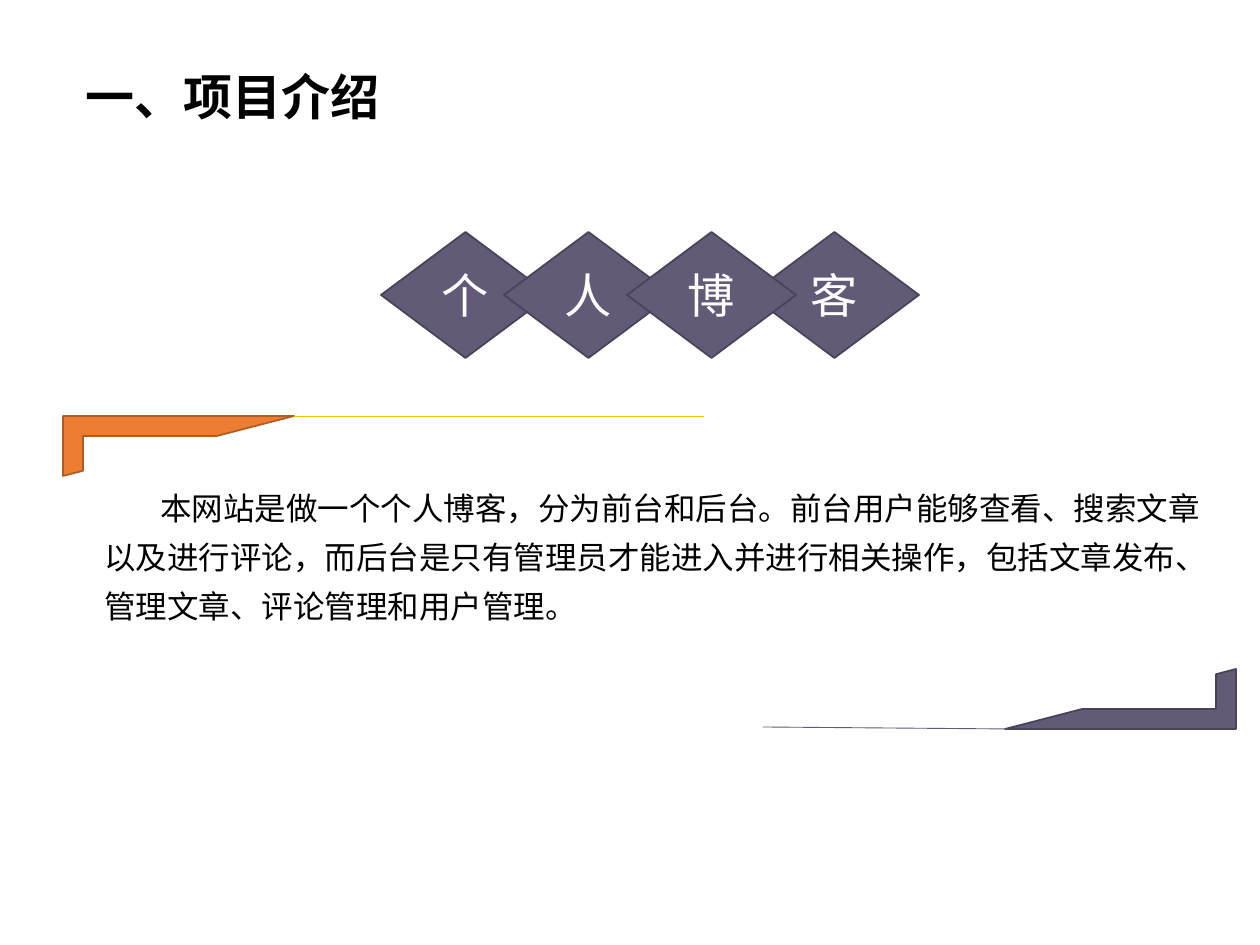
from lxml.etree import SubElement
from pptx import Presentation
from pptx.dml.color import RGBColor
from pptx.enum.shapes import MSO_CONNECTOR, MSO_SHAPE
from pptx.enum.text import MSO_ANCHOR, PP_ALIGN
from pptx.oxml.ns import qn
from pptx.util import Pt

SCALE = 914400 / 126
FONT = "Arial"
COLORS = {
    "black": "000000",
    "white": "FFFFFF",
    "violet": "625A76",
    "plum": "494357",
    "orange": "ED7D31",
    "rust": "AF5C24",
    "gold": "FFC000",
}
INTRO = (
    "本网站是做一个个人博客，分为前台和后台。前台用户能够查看、搜索文章"
    "以及进行评论，而后台是只有管理员才能进入并进行相关操作，包括文章发布、"
    "管理文章、评论管理和用户管理。"
)


def emu(px):
    return round(px * SCALE)


def color(name):
    return RGBColor.from_string(COLORS[name])


def write(shape, text, size, ink="black", bold=False, align=PP_ALIGN.LEFT,
          anchor=MSO_ANCHOR.TOP, spacing=1.0, indent=0):
    frame = shape.text_frame
    frame.word_wrap = True
    frame.vertical_anchor = anchor
    para = frame.paragraphs[0]
    para.text = text
    para.alignment = align
    para.line_spacing = spacing
    para.space_before = Pt(0)
    if indent:
        para._p.get_or_add_pPr().set("indent", str(emu(indent)))
    font = para.runs[0].font
    font.name = FONT
    font.size = Pt(size)
    font.bold = bold
    font.color.rgb = color(ink)


def add_form(slide, kind, box, fill, edge, turn=0):
    shape = slide.shapes.add_shape(kind, *map(emu, box))
    shape.shadow.inherit = False
    shape.rotation = turn
    shape.fill.solid()
    shape.fill.fore_color.rgb = color(fill)
    shape.line.color.rgb = color(edge)
    shape.line.width = Pt(1)
    return shape


def add_rule(slide, ends, ink):
    rule = slide.shapes.add_connector(MSO_CONNECTOR.STRAIGHT, *map(emu, ends))
    rule.line.color.rgb = color(ink)
    rule.line.width = Pt(0.5)
    SubElement(rule._element.spPr, qn("a:effectLst"))


def add_gems(slide):
    """Draw the overlapping diamonds; the third lies over the fourth."""
    left, step = 381, 123
    for spot, char in ((0, "个"), (1, "人"), (3, "客"), (2, "博")):
        box = (left + spot * step, 232, 169, 126)
        gem = add_form(slide, MSO_SHAPE.FLOWCHART_DECISION, box, "violet", "plum")
        write(gem, char, 27, ink="white", align=PP_ALIGN.CENTER,
              anchor=MSO_ANCHOR.MIDDLE)


def add_title(slide, text):
    title = slide.shapes.title
    title.left, title.top, title.width, title.height = map(emu, (73, 60, 322, 131))
    write(title, text, 28, bold=True)


def add_body(slide, text):
    body = slide.shapes.add_textbox(*map(emu, (92, 471, 1122, 159)))
    write(body, text, 18, spacing=1.3, indent=56)


def main():
    deck = Presentation()
    deck.slide_width, deck.slide_height = emu(1260), emu(945)
    slide = deck.slides.add_slide(deck.slide_layouts[5])
    add_title(slide, "一、项目介绍")
    add_gems(slide)
    add_form(slide, MSO_SHAPE.HALF_FRAME, (63, 416, 231, 60), "orange", "rust")
    add_rule(slide, (294, 416, 704, 416), "gold")
    add_form(slide, MSO_SHAPE.HALF_FRAME, (1005, 669, 231, 60), "violet", "plum",
             turn=180)
    add_rule(slide, (1009, 729, 763, 727), "violet")
    add_body(slide, INTRO)
    deck.save("out.pptx")


if __name__ == "__main__":
    main()
